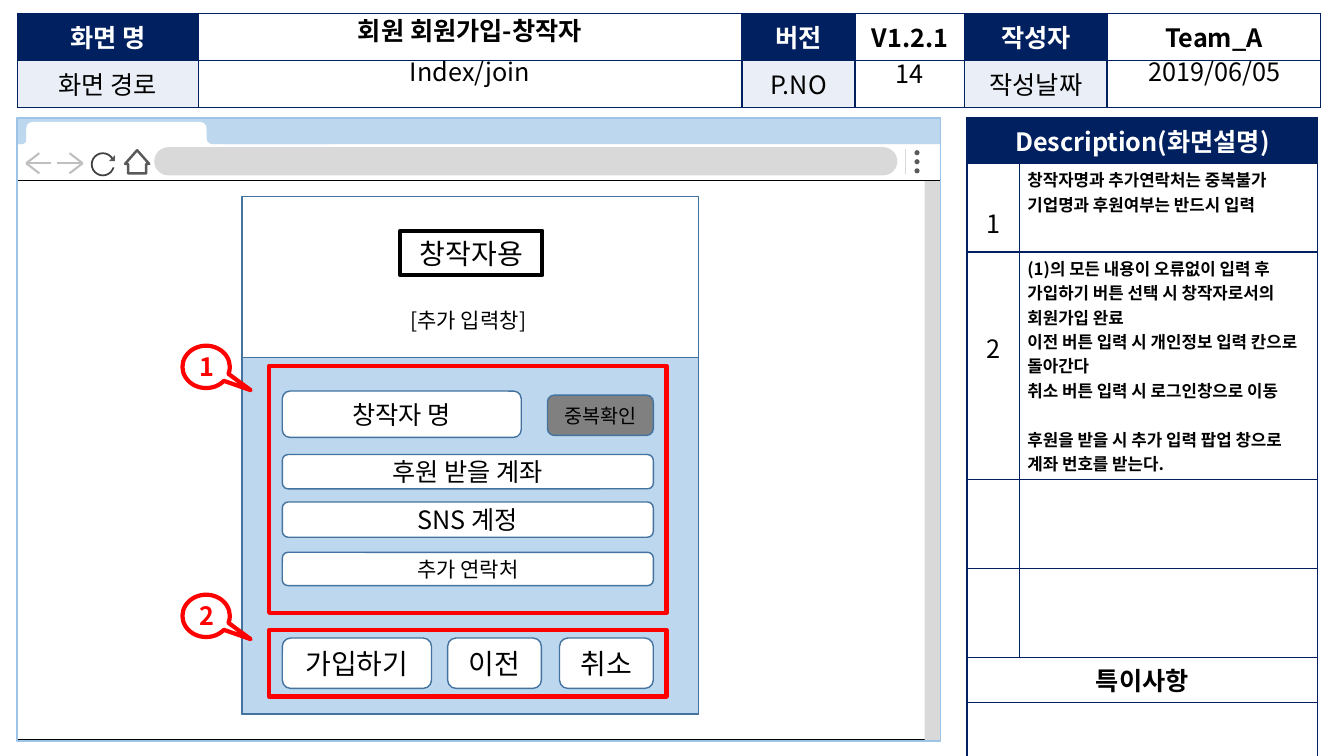
from dataclasses import dataclass

from lxml import etree
from pptx import Presentation
from pptx.dml.color import RGBColor
from pptx.enum.shapes import MSO_CONNECTOR, MSO_SHAPE
from pptx.enum.text import MSO_ANCHOR, MSO_AUTO_SIZE, PP_ALIGN
from pptx.oxml.ns import qn
from pptx.util import Inches, Pt

RECT, ROUND = MSO_SHAPE.RECTANGLE, MSO_SHAPE.ROUNDED_RECTANGLE
OVAL, TRIANGLE = MSO_SHAPE.OVAL, MSO_SHAPE.RIGHT_TRIANGLE
HOUSE, BUBBLE = MSO_SHAPE.DOWN_ARROW, MSO_SHAPE.OVAL_CALLOUT
STRAIGHT = MSO_CONNECTOR.STRAIGHT
TOP, MIDDLE = MSO_ANCHOR.TOP, MSO_ANCHOR.MIDDLE
LEFT, CENTER = PP_ALIGN.LEFT, PP_ALIGN.CENTER
NO_FIT = MSO_AUTO_SIZE.NONE

FONT = "Noto Sans CJK KR"
NAVY, SKY, PALE, STEEL = "002060", "BDD7EE", "EAEFF7", "43739E"
WHITE, BLACK, RED, GRAY = "FFFFFF", "000000", "FF0000", "D9D9D9"


@dataclass
class Text:
    words: str = ""
    size: float = 18
    color: str = BLACK
    bold: bool = False
    align: PP_ALIGN = CENTER
    spacing: float = 1.0


@dataclass
class Box:
    at: tuple[float, float, float, float]
    kind: MSO_SHAPE = RECT
    fill: str | None = None
    line: str | None = None
    width: float = 1
    adj: tuple[float, ...] = ()
    text: Text | None = None
    rotation: float = 0


def rgb(color: str) -> RGBColor:
    return RGBColor.from_string(color)


def paint(fill, color: str | None) -> None:
    if color:
        fill.solid()
        fill.fore_color.rgb = rgb(color)
    else:
        fill.background()


def write(frame, text: Text) -> None:
    """Fill a text frame, one paragraph for each line of words."""
    frame.word_wrap = True
    for number, words in enumerate(text.words.split("\n")):
        paragraph = frame.add_paragraph() if number else frame.paragraphs[0]
        layout = {"alignment": text.align, "line_spacing": text.spacing, "space_before": Pt(0)}
        for name, value in layout.items():
            setattr(paragraph, name, value)
        run = paragraph.add_run()
        run.text = words
        for name, value in {"name": FONT, "size": Pt(text.size), "bold": text.bold}.items():
            setattr(run.font, name, value)
        run.font.color.rgb = rgb(text.color)
        etree.SubElement(run._r.get_or_add_rPr(), qn("a:ea"), typeface=FONT)


def draw_box(shapes, box: Box) -> None:
    shape = shapes.add_shape(box.kind, *map(Inches, box.at))
    shape.shadow.inherit = False
    shape.rotation = box.rotation
    for number, value in enumerate(box.adj):
        shape.adjustments[number] = value
    paint(shape.fill, box.fill)
    paint(shape.line.fill, box.line)
    if box.line:
        shape.line.width = Pt(box.width)
    if box.text:
        shape.text_frame.vertical_anchor = MIDDLE
        write(shape.text_frame, box.text)


def draw_line(shapes, start: tuple[float, float], end: tuple[float, float],
              color: str, width: float) -> None:
    line = shapes.add_connector(STRAIGHT, *map(Inches, start + end))
    line.line.color.rgb = rgb(color)
    line.line.width = Pt(width)
    etree.SubElement(line._element.spPr, qn("a:effectLst"))


def draw_table(shapes, left: float, top: float, columns: list[float], rows: list[float]):
    frame = shapes.add_table(len(rows), len(columns), Inches(left), Inches(top),
                             Inches(sum(columns)), Inches(sum(rows)))
    table = frame.table
    table.first_row = table.horz_banding = False
    for column, width in zip(table.columns, columns):
        column.width = Inches(width)
    for row, height in zip(table.rows, rows):
        row.height = Inches(height)
    for cell in table.iter_cells():
        paint(cell.fill, None)
        properties = cell._tc.get_or_add_tcPr()
        for position, side in enumerate(("lnL", "lnR", "lnT", "lnB")):
            border = etree.Element(qn(f"a:{side}"), w=str(Pt(1)))
            solid = etree.SubElement(border, qn("a:solidFill"))
            etree.SubElement(solid, qn("a:srgbClr"), val=NAVY)
            properties.insert(position, border)
    return table


def place(shapes, holder, at: tuple[float, float, float, float], text: Text) -> None:
    """Move a placeholder in front of the tables and format it without bullets."""
    shapes._spTree.append(holder._element)
    for name, value in zip(("left", "top", "width", "height"), at):
        setattr(holder, name, Inches(value))
    frame = holder.text_frame
    frame.auto_size = NO_FIT
    frame.vertical_anchor = TOP
    write(frame, text)
    properties = frame.paragraphs[0]._p.get_or_add_pPr()
    properties.set("marL", "0")
    properties.set("indent", "0")
    etree.SubElement(properties, qn("a:buNone"))


def draw_browser(shapes) -> None:
    # Page, scroll bar and address bar
    page = [
        Box((0.16, 1.78, 9.16, 5.56), fill=WHITE, line=BLACK, width=0.5),
        Box((9.17, 1.79, 0.16, 5.55), fill=GRAY),
        Box((0.17, 1.42, 9.16, 0.37), fill=WHITE, line=BLACK, width=0.5),
        Box((1.53, 1.46, 7.37, 0.28), ROUND, GRAY, adj=(0.5,)),
        Box((0.17, 1.17, 9.16, 0.26), fill=SKY),
    ]
    menu_dots = [Box((9.07, 1.49 + 0.09 * i, 0.05, 0.05), OVAL, "595959") for i in range(3)]
    for box in page + menu_dots:
        draw_box(shapes, box)
    draw_line(shapes, (8.98, 1.48), (8.98, 1.73), GRAY, 1)

    # Back and forward arrows
    for tip, direction in ((0.26, 1), (0.82, -1)):
        for run, rise in ((0.25, 0), (0.13, -0.1), (0.13, 0.1)):
            draw_line(shapes, (tip, 1.62), (tip + direction * run, 1.62 + rise), "BFBFBF", 1.5)

    # Reload, home, tab and window frame
    for box in (
        Box((0.91, 1.52, 0.22, 0.22), OVAL, line="404040", width=1.25),
        Box((1.09, 1.58, 0.08, 0.08), fill=WHITE),
        Box((1.08, 1.54, 0.06, 0.06), MSO_SHAPE.ISOSCELES_TRIANGLE, "595959", adj=(1,)),
        Box((1.24, 1.49, 0.24, 0.23), HOUSE, WHITE, "595959", 1.75, (0.75, 0.59), rotation=180),
        Box((0.26, 1.21, 1.79, 0.23), ROUND, WHITE, adj=(0.28,)),
        Box((1.88, 1.3, 0.34, 0.15), ROUND, WHITE),
        Box((2.05, 1.23, 1.27, 0.2), ROUND, SKY, adj=(0.28,)),
        Box((0.21, 1.3, 0.13, 0.15), ROUND, WHITE),
        Box((0.17, 1.23, 0.09, 0.2), ROUND, SKY, adj=(0.46,)),
        Box((0.17, 1.17, 9.16, 6.18), line="9DC3E6"),
    ):
        draw_box(shapes, box)


def draw_header(slide) -> None:
    shapes = slide.shapes
    header = draw_table(shapes, 0.17, 0.13, [1.8, 5.39, 1.12, 1.09, 1.41, 2.12], [0.47, 0.47])
    labels = (("화면 명", "", "버전", "V1.2.1", "작성자", "Team_A"),
              ("화면 경로", "", "P.NO", "", "작성날짜", ""))
    for row, words_in_row in enumerate(labels):
        for column, words in enumerate(words_in_row):
            cell = header.cell(row, column)
            is_label = column % 2 == 0
            paint(cell.fill, (NAVY, PALE)[row] if is_label else WHITE)
            color = WHITE if is_label and row == 0 else BLACK
            if words:
                write(cell.text_frame, Text(words, color=color, bold=row == 0))
    title, route, date = slide.placeholders
    place(shapes, title, (1.97, 0.14, 5.38, 0.38),
          Text("회원 회원가입-창작자", bold=True, spacing=0.9))
    place(shapes, route, (1.97, 0.54, 5.38, 0.38), Text("Index/join", spacing=0.9))
    place(shapes, date, (10.99, 0.54, 2.11, 0.38), Text("2019/06/05", spacing=0.9))
    draw_box(shapes, Box((8.48, 0.54, 1.08, 0.38), text=Text("14")))


def draw_description(shapes) -> None:
    notes = draw_table(shapes, 9.59, 1.17, [0.52, 2.96],
                       [0.45, 0.88, 2.26, 0.88, 0.88, 0.45, 0.62])
    for cell in notes.iter_cells():
        margins = {"margin_left": 0.08, "margin_right": 0.08,
                   "margin_top": 0.04, "margin_bottom": 0.04}
        for name, value in margins.items():
            setattr(cell, name, Inches(value))
    for row in (0, 5, 6):
        notes.cell(row, 0).merge(notes.cell(row, 1))
    paint(notes.cell(0, 0).fill, NAVY)
    join_rules = ("(1)의 모든 내용이 오류없이 입력 후 가입하기 버튼 선택 시 창작자로서의 회원가입 완료\n"
                  "이전 버튼 입력 시 개인정보 입력 칸으로 돌아간다\n"
                  "취소 버튼 입력 시 로그인창으로 이동\n"
                  "후원을 받을 시 추가 입력 팝업 창으로 계좌 번호를 받는다.")
    input_rules = "창작자명과 추가연락처는 중복불가\n기업명과 후원여부는 반드시 입력"
    for row, column, text in (
        (0, 0, Text("Description(화면설명)", color=WHITE, bold=True)),
        (1, 0, Text("1", spacing=2)),
        (1, 1, Text(input_rules, 12, bold=True, align=LEFT)),
        (2, 0, Text("2", spacing=3)),
        (2, 1, Text(join_rules, 12, bold=True, align=LEFT)),
        (5, 0, Text("특이사항", bold=True)),
    ):
        write(notes.cell(row, column).text_frame, text)
    notes.cell(2, 1).text_frame.paragraphs[-1].space_before = Pt(17.4)


def draw_form(shapes) -> None:
    # Panel and headings
    for box in (
        Box((2.4, 1.95, 4.53, 5.14), line=STEEL),
        Box((2.4, 3.55, 4.53, 3.53), fill=SKY, line=STEEL),
        Box((3.97, 2.29, 1.41, 0.44), line=BLACK, width=3, text=Text("창작자용", 20)),
    ):
        draw_box(shapes, box)
    prompt = shapes.add_textbox(*map(Inches, (3.94, 3, 1.41, 0.35)))
    write(prompt.text_frame, Text("[추가 입력창]", 15))

    # Input fields and buttons
    for words, size, at, fill in (
        ("창작자 명", 18, (2.8, 3.88, 2.37, 0.46), WHITE),
        ("중복확인", 14, (5.43, 3.92, 1.05, 0.4), "808080"),
        ("후원 받을 계좌", 18, (2.8, 4.51, 3.68, 0.34), WHITE),
        ("SNS 계정", 18, (2.8, 4.98, 3.68, 0.35), WHITE),
        ("추가 연락처", 15, (2.8, 5.48, 3.68, 0.33), WHITE),
        ("가입하기", 20, (2.8, 6.33, 1.48, 0.5), WHITE),
        ("이전", 20, (4.44, 6.33, 0.93, 0.5), WHITE),
        ("취소", 20, (5.55, 6.33, 0.93, 0.5), WHITE),
    ):
        draw_box(shapes, Box(at, ROUND, fill, STEEL, text=Text(words, size)))

    # Numbered red marks
    for number, top, height, bubble_top in (("1", 3.63, 2.45, 3.43), ("2", 6.25, 0.66, 5.9)):
        draw_box(shapes, Box((2.67, top, 3.94, height), line=RED, width=3))
        draw_box(shapes, Box((1.81, bubble_top, 0.47, 0.42), BUBBLE, line=RED, width=3,
                             adj=(0.94, 0.55), text=Text(number, color=RED, bold=True)))


def main() -> None:
    deck = Presentation()
    deck.slide_width, deck.slide_height = Inches(13.33), Inches(7.5)
    slide = deck.slides.add_slide(deck.slide_layouts.get_by_name("Two Content"))
    draw_browser(slide.shapes)
    draw_header(slide)
    draw_description(slide.shapes)
    draw_form(slide.shapes)
    deck.save("out.pptx")


if __name__ == "__main__":
    main()
